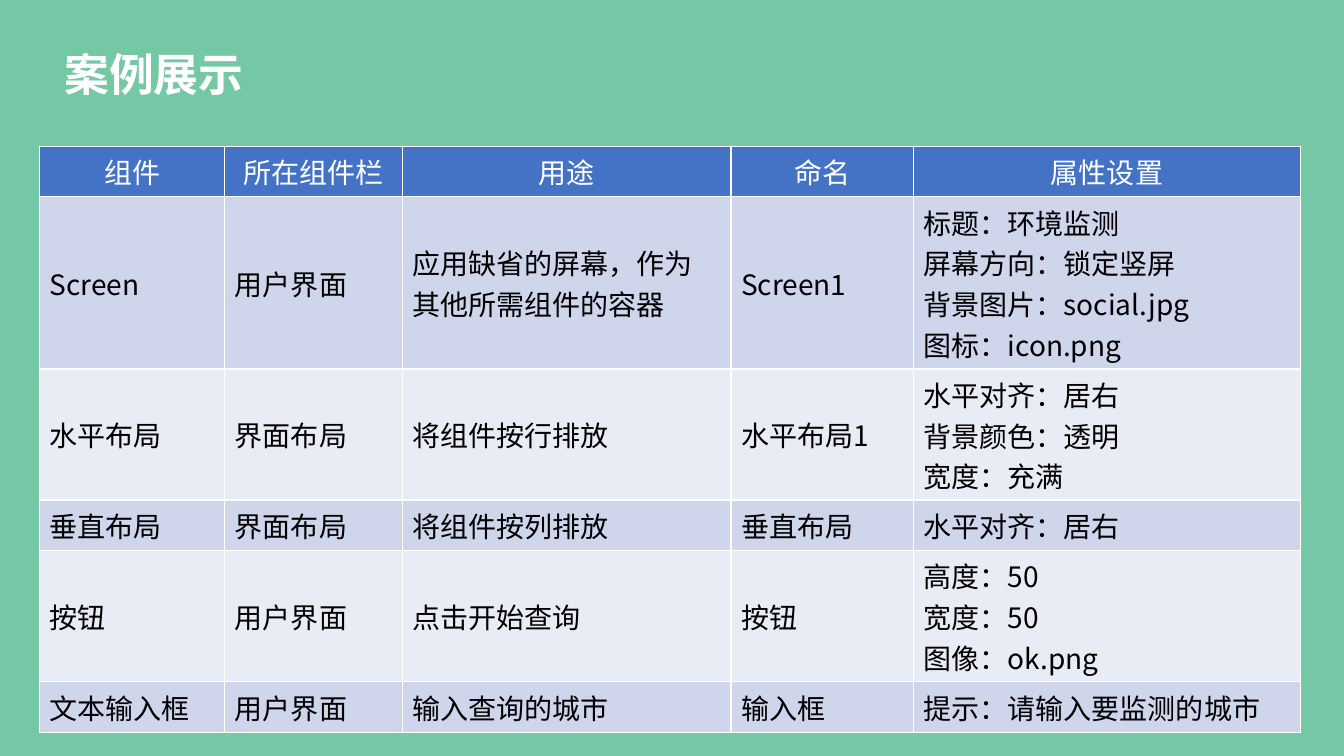
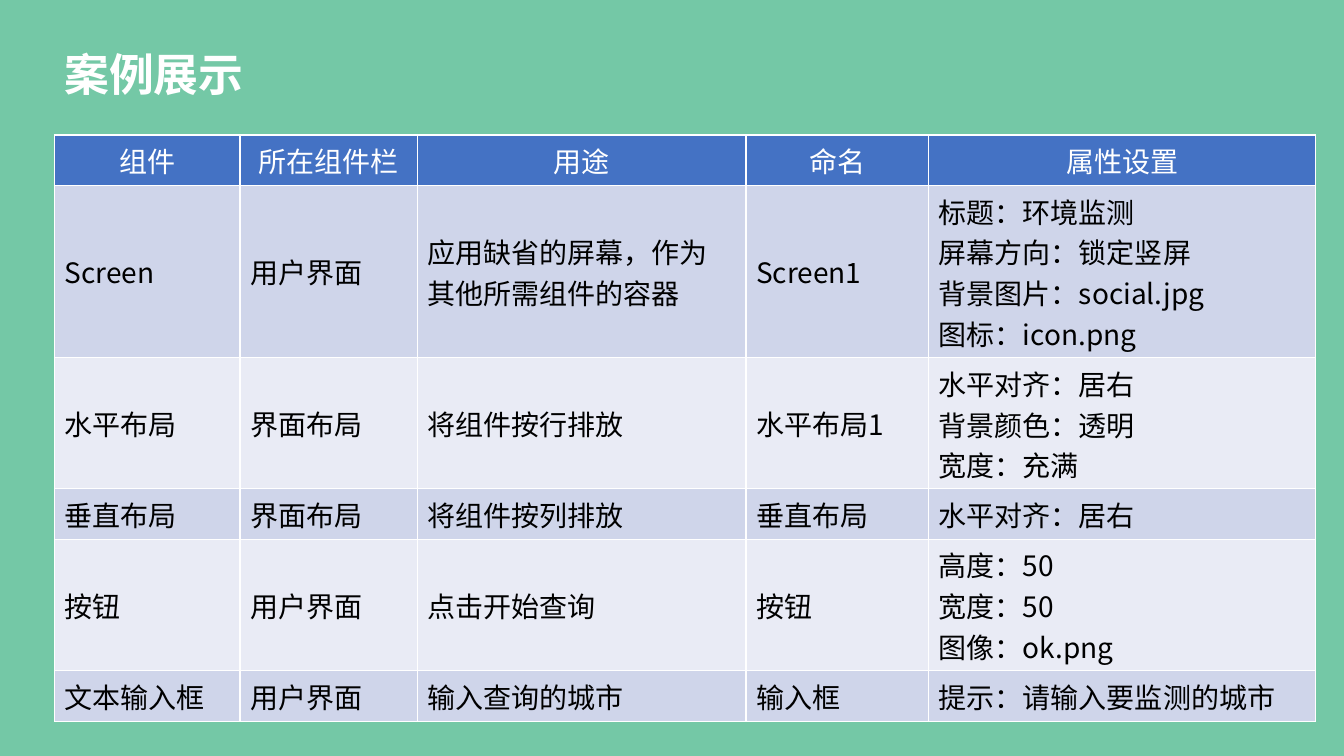
from dataclasses import dataclass
from typing import Any

from lxml.etree import SubElement
from pptx import Presentation
from pptx.dml.color import RGBColor
from pptx.enum.text import MSO_ANCHOR, PP_ALIGN
from pptx.oxml.ns import qn
from pptx.util import Emu, Pt

EMU_PER_PX = 9144  # 100 px to the inch
FONT_NAME = "Noto Sans CJK SC"
BACKGROUND, WHITE, BLACK = "74C8A6", "FFFFFF", "000000"
HEADER_FILL = "4472C4"
BAND_FILLS = ("CFD5EA", "E9EBF5")

TITLE_FORMAT = {"name": FONT_NAME, "size": Pt(32), "bold": True}
CELL_FORMAT = {"name": FONT_NAME, "size": Pt(20), "bold": False}

COLUMN_WIDTHS = (184, 176, 326, 181, 384)
HEADERS = ("组件", "所在组件栏", "用途", "命名", "属性设置")


@dataclass(frozen=True)
class ComponentRow:
    component: str
    palette: str
    purpose: str
    name: str
    settings: tuple[str, ...]
    height: int

    def cells(self) -> list[tuple[str, ...]]:
        labels = (self.component, self.palette, self.purpose, self.name)
        return [(label,) for label in labels] + [self.settings]


@dataclass(frozen=True)
class CaseSlide:
    title: str
    table_left: int
    table_top: int


HEADER_HEIGHT = 50
COMPONENTS = (
    ComponentRow("Screen", "用户界面", "应用缺省的屏幕，作为其他所需组件的容器", "Screen1",
                 ("标题：环境监测", "屏幕方向：锁定竖屏", "背景图片：social.jpg", "图标：icon.png"), 171),
    ComponentRow("水平布局", "界面布局", "将组件按行排放", "水平布局1",
                 ("水平对齐：居右", "背景颜色：透明", "宽度：充满"), 130),
    ComponentRow("垂直布局", "界面布局", "将组件按列排放", "垂直布局", ("水平对齐：居右",), 50),
    ComponentRow("按钮", "用户界面", "点击开始查询", "按钮",
                 ("高度：50", "宽度：50", "图像：ok.png"), 130),
    ComponentRow("文本输入框", "用户界面", "输入查询的城市", "输入框",
                 ("提示：请输入要监测的城市",), 51),
)
SLIDES = (CaseSlide("案例展示", 39, 145), CaseSlide("案例展示", 54, 134))


def px(length: int) -> Emu:
    return Emu(length * EMU_PER_PX)


def color(value: str) -> RGBColor:
    return RGBColor.from_string(value)


def add_run(paragraph: Any, text: str, text_color: str, format_values: dict[str, Any]) -> None:
    run = paragraph.add_run()
    run.text = text
    for attribute, value in format_values.items():
        setattr(run.font, attribute, value)
    run.font.color.rgb = color(text_color)
    # East Asian text takes its typeface from a:ea.
    SubElement(run.font._element, qn("a:ea"), typeface=FONT_NAME)


def add_title(slide: Any, text: str) -> None:
    text_frame = slide.shapes.add_textbox(px(54), px(47), px(510), px(69)).text_frame
    text_frame.word_wrap = True
    paragraph = text_frame.paragraphs[0]
    paragraph.line_spacing = 0.9
    add_run(paragraph, text, WHITE, TITLE_FORMAT)


def add_borders(cell: Any) -> None:
    properties = cell._tc.get_or_add_tcPr()
    for side in ("lnL", "lnR", "lnT", "lnB"):
        line = SubElement(properties, qn(f"a:{side}"), w=str(Pt(1)))
        SubElement(SubElement(line, qn("a:solidFill")), qn("a:srgbClr"), val=WHITE)


def fill_cell(cell: Any, lines: tuple[str, ...], fill: str, text_color: str,
              alignment: PP_ALIGN, anchor: MSO_ANCHOR) -> None:
    add_borders(cell)
    cell.fill.solid()
    cell.fill.fore_color.rgb = color(fill)
    cell.vertical_anchor = anchor
    text_frame = cell.text_frame
    for index, text in enumerate(lines):
        paragraph = text_frame.add_paragraph() if index else text_frame.paragraphs[0]
        paragraph.alignment = alignment
        add_run(paragraph, text, text_color, CELL_FORMAT)


def add_component_table(slide: Any, left: int, top: int) -> None:
    heights = [HEADER_HEIGHT, *(row.height for row in COMPONENTS)]
    table = slide.shapes.add_table(len(heights), len(COLUMN_WIDTHS), px(left), px(top),
                                   px(sum(COLUMN_WIDTHS)), px(sum(heights))).table
    table.first_row = table.horz_banding = False
    for column, width in zip(table.columns, COLUMN_WIDTHS):
        column.width = px(width)
    for table_row, height in zip(table.rows, heights):
        table_row.height = px(height)

    for column_index, header in enumerate(HEADERS):
        fill_cell(table.cell(0, column_index), (header,), HEADER_FILL, WHITE,
                  PP_ALIGN.CENTER, MSO_ANCHOR.TOP)
    for row_index, component in enumerate(COMPONENTS):
        fill = BAND_FILLS[row_index % len(BAND_FILLS)]
        for column_index, lines in enumerate(component.cells()):
            fill_cell(table.cell(row_index + 1, column_index), lines, fill, BLACK,
                      PP_ALIGN.LEFT, MSO_ANCHOR.MIDDLE)


def main() -> None:
    presentation = Presentation()
    presentation.slide_width, presentation.slide_height = px(1333), px(750)
    blank_layout = presentation.slide_layouts[6]
    for case in SLIDES:
        slide = presentation.slides.add_slide(blank_layout)
        slide.background.fill.solid()
        slide.background.fill.fore_color.rgb = color(BACKGROUND)
        add_title(slide, case.title)
        add_component_table(slide, case.table_left, case.table_top)
    presentation.save("out.pptx")


if __name__ == "__main__":
    main()
